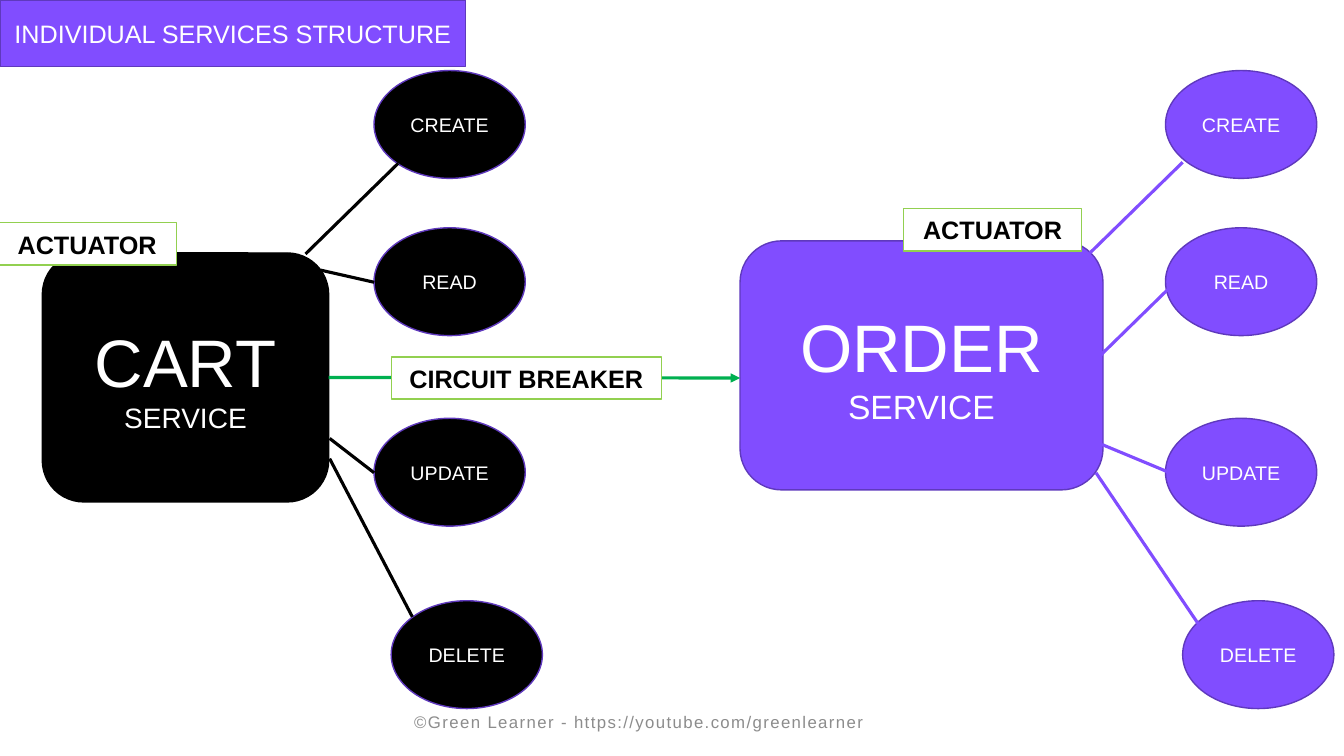
"""Build a slide on the structure of the cart and order services."""
from dataclasses import dataclass

from lxml import etree
from pptx import Presentation
from pptx.dml.color import RGBColor
from pptx.enum.shapes import MSO_CONNECTOR, MSO_SHAPE
from pptx.enum.text import MSO_ANCHOR, PP_ALIGN
from pptx.oxml.ns import qn
from pptx.shapes.autoshape import Shape
from pptx.shapes.connector import Connector
from pptx.slide import Slide
from pptx.text.text import TextFrame
from pptx.util import Inches, Pt

RECTANGLE = MSO_SHAPE.RECTANGLE
ROUNDED = MSO_SHAPE.ROUNDED_RECTANGLE
OVAL = MSO_SHAPE.OVAL
STRAIGHT = MSO_CONNECTOR.STRAIGHT
CENTER = PP_ALIGN.CENTER
MIDDLE = MSO_ANCHOR.MIDDLE

BLACK = RGBColor(0x00, 0x00, 0x00)
WHITE = RGBColor(0xFF, 0xFF, 0xFF)
VIOLET = RGBColor(0x81, 0x4D, 0xFF)
INDIGO = RGBColor(0x5F, 0x39, 0xBD)
GREEN = RGBColor(0x00, 0xB0, 0x50)
LIME = RGBColor(0x92, 0xD0, 0x50)
GRAY = RGBColor(0x8C, 0x8C, 0x8C)

FONT = "Arial"
RIGHT_SIDE = 3
OPERATION_SIZE = (1.5, 1.07)
OPERATIONS = (
    ("CREATE", 0, 0.7),
    ("READ", 0, 2.26),
    ("UPDATE", 0, 4.15),
    ("DELETE", 0.17, 5.96),
)

Point = tuple[float, float]
Area = tuple[float, float, float, float]


@dataclass(frozen=True)
class Service:
    name: str
    name_area: Area
    subtitle_size: float
    fill: RGBColor
    outline: RGBColor
    operations_left: float
    links: tuple[tuple[Point, Point], ...]


@dataclass(frozen=True)
class Label:
    text: str
    area: Area


CART = Service(
    "CART", (0.42, 2.51, 2.84, 2.47), 20, BLACK, BLACK, 3.71,
    (
        ((3.03, 2.52), (3.95, 1.62)),
        ((3.18, 2.68), (3.71, 2.8)),
        ((3.27, 4.35), (3.71, 4.69)),
        ((3.27, 4.55), (4.09, 6.12)),
    ),
)
ORDER = Service(
    "ORDER", (7.34, 2.39, 3.6, 2.47), 24, VIOLET, INDIGO, 11.56,
    (
        ((10.81, 2.51), (11.73, 1.61)),
        ((10.9, 3.54), (11.82, 2.64)),
        ((10.93, 4.41), (11.82, 4.78)),
        ((10.87, 4.69), (11.98, 6.33)),
    ),
)
LABELS = (
    Label("CIRCUIT BREAKER", (3.88, 3.54, 2.68, 0.42)),
    Label("ACTUATOR", (-0.02, 2.21, 1.77, 0.42)),
    Label("ACTUATOR", (8.96, 2.07, 1.77, 0.42)),
)


def write(frame: TextFrame, text: str, *, size: float, color: RGBColor = WHITE,
          bold: bool = False, spacing: float = 0, append: bool = False) -> None:
    frame.word_wrap = True
    frame.vertical_anchor = MIDDLE
    para = frame.add_paragraph() if append else frame.paragraphs[0]
    para.alignment = CENTER
    span = para.add_run()
    span.text = text
    span.font.name = FONT
    span.font.size = Pt(size)
    span.font.bold = bold
    span.font.color.rgb = color
    if spacing:
        span._r.get_or_add_rPr().set("spc", str(round(spacing * 100)))


def add_box(page: Slide, kind: MSO_SHAPE, area: Area, fill: RGBColor,
            outline: RGBColor) -> Shape:
    box = page.shapes.add_shape(kind, *map(Inches, area))
    box.shadow.inherit = False
    box.fill.solid()
    box.fill.fore_color.rgb = fill
    box.line.color.rgb = outline
    box.line.width = Pt(1)
    return box


def add_link(page: Slide, start: Point, end: Point, color: RGBColor) -> Connector:
    link = page.shapes.add_connector(STRAIGHT, *map(Inches, start + end))
    link.line.color.rgb = color
    link.line.width = Pt(2.25)
    etree.SubElement(link._element.spPr, qn("a:effectLst"))
    return link


def add_service(page: Slide, service: Service) -> Shape:
    box = add_box(page, ROUNDED, service.name_area, service.fill, service.outline)
    write(box.text_frame, service.name, size=48)
    write(box.text_frame, "SERVICE", size=service.subtitle_size, append=True)
    for name, shift, top in OPERATIONS:
        area = (service.operations_left + shift, top, *OPERATION_SIZE)
        oval = add_box(page, OVAL, area, service.fill, INDIGO)
        write(oval.text_frame, name, size=14)
    for start, end in service.links:
        add_link(page, start, end, service.fill)
    return box


def add_call(page: Slide, caller: Shape) -> None:
    call = add_link(page, (3.26, 3.75), (7.34, 3.75), GREEN)
    call.begin_connect(caller, RIGHT_SIDE)
    etree.SubElement(call.line._get_or_add_ln(), qn("a:tailEnd"), type="triangle")


def add_footer(page: Slide) -> None:
    box = page.shapes.add_textbox(*map(Inches, (3.61, 6.97, 5.46, 0.37)))
    frame = box.text_frame
    frame.margin_left = frame.margin_right = frame.margin_top = Inches(0.12)
    frame.margin_bottom = Inches(0.1)
    write(frame, "©Green Learner - https://youtube.com/greenlearner",
          size=12, color=GRAY, spacing=1)


def main() -> None:
    deck = Presentation()
    deck.slide_width, deck.slide_height = Inches(13.33), Inches(7.5)
    page = deck.slides.add_slide(deck.slide_layouts[6])
    cart = add_service(page, CART)
    add_service(page, ORDER)
    add_call(page, cart)
    for label in LABELS:
        box = add_box(page, RECTANGLE, label.area, WHITE, LIME)
        write(box.text_frame, label.text, size=18, color=BLACK, bold=True)
    title = add_box(page, RECTANGLE, (0, 0, 4.62, 0.66), VIOLET, INDIGO)
    write(title.text_frame, "INDIVIDUAL SERVICES STRUCTURE", size=18)
    add_footer(page)
    deck.save("out.pptx")


if __name__ == "__main__":
    main()
